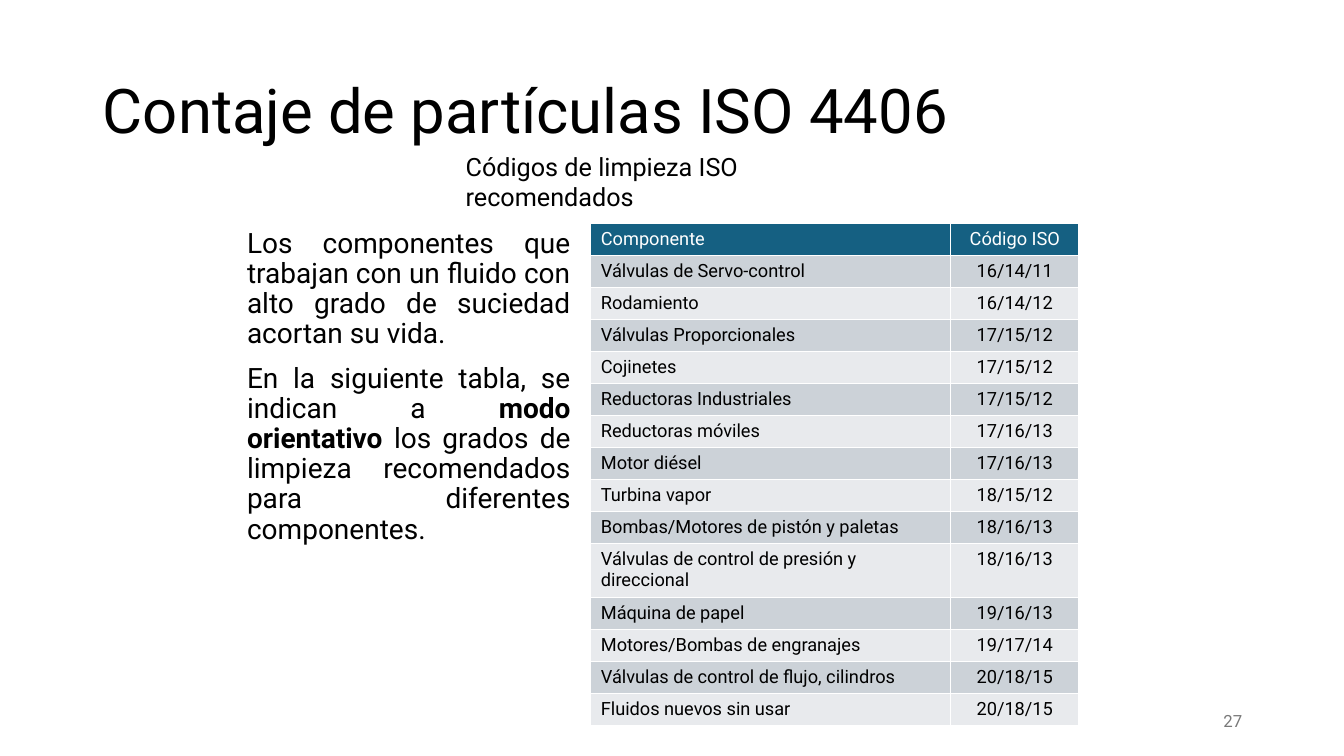
from pptx import Presentation
from pptx.dml.color import RGBColor
from pptx.enum.text import MSO_ANCHOR as ANCHOR, MSO_AUTO_SIZE as AUTO, PP_ALIGN as AL
from pptx.oxml.ns import qn
from pptx.util import Inches, Pt
from lxml import etree


def rgb(hex_color):
    return RGBColor.from_string(hex_color)


def add_run(p, text, size, color="000000", bold=False):
    r = p.add_run()
    r.text = text
    r.font.name = "Roboto"
    r.font.size = Pt(size)
    r.font.bold = bold
    r.font.color.rgb = rgb(color)


prs = Presentation()
prs.slide_width, prs.slide_height = Inches(13.33), Inches(7.5)
s = prs.slides.add_slide(prs.slide_layouts[1])
title, body = s.placeholders

# Place the four text boxes
number = s.shapes.add_textbox(0, 0, 0, 0)
subtitle = s.shapes.add_textbox(0, 0, 0, 0)
boxes = [
    (title, 0.92, 0.4, 11.5, 1.45, ANCHOR.MIDDLE),
    (body, 2.35, 2.22, 3.41, 4.63, ANCHOR.TOP),
    (number, 9.42, 6.95, 3, 0.4, ANCHOR.MIDDLE),
    (subtitle, 4.52, 1.45, 4.31, 0.71, ANCHOR.TOP),
]
for sp, left, top, width, height, anchor in boxes:
    sp.left, sp.top = Inches(left), Inches(top)
    sp.width, sp.height = Inches(width), Inches(height)
    tf = sp.text_frame
    tf.word_wrap = True
    tf.auto_size = AUTO.NONE
    tf.vertical_anchor = anchor

# Title, subtitle and slide number
p = title.text_frame.paragraphs[0]
p.alignment = AL.LEFT
p.line_spacing = 0.9
add_run(p, "Contaje de partículas ISO 4406", 44)

subtitle.text_frame.auto_size = AUTO.SHAPE_TO_FIT_TEXT
add_run(subtitle.text_frame.paragraphs[0], "Códigos de limpieza ISO recomendados", 18)

p = number.text_frame.paragraphs[0]
p.alignment = AL.RIGHT
add_run(p, "27", 12, "797979")

# Justified body text: (text, bold) runs per paragraph
paragraphs = [
    [("Los componentes que trabajan con un fluido con alto grado de suciedad "
      "acortan su vida.", False)],
    [("En la siguiente tabla, se indican a ", False),
     ("modo orientativo ", True),
     ("los grados de limpieza recomendados para diferentes componentes.", False)],
]
tf = body.text_frame
for i, runs in enumerate(paragraphs):
    p = tf.add_paragraph() if i else tf.paragraphs[0]
    pPr = p._p.get_or_add_pPr()
    pPr.set("marL", "0")
    pPr.set("indent", "0")
    etree.SubElement(pPr, qn("a:buNone"))
    p.alignment = AL.JUSTIFY
    p.line_spacing = 0.9
    p.space_before = Pt(10 if i else 0)
    for text, bold in runs:
        add_run(p, text, 20, bold=bold)

# Table of recommended codes
rows = [
    ("Componente", "Código ISO"),
    ("Válvulas de Servo-control", "16/14/11"),
    ("Rodamiento", "16/14/12"),
    ("Válvulas Proporcionales", "17/15/12"),
    ("Cojinetes", "17/15/12"),
    ("Reductoras Industriales", "17/15/12"),
    ("Reductoras móviles", "17/16/13"),
    ("Motor diésel", "17/16/13"),
    ("Turbina vapor", "18/15/12"),
    ("Bombas/Motores de pistón y paletas", "18/16/13"),
    ("Válvulas de control de presión y direccional", "18/16/13"),
    ("Máquina de papel", "19/16/13"),
    ("Motores/Bombas de engranajes", "19/17/14"),
    ("Válvulas de control de flujo, cilindros", "20/18/15"),
    ("Fluidos nuevos sin usar", "20/18/15"),
]
row_height = 0.3
table = s.shapes.add_table(len(rows), 2, Inches(5.86), Inches(2.22), Inches(4.84),
                           Inches(row_height * len(rows))).table
for column, width in zip(table.columns, (3.57, 1.27)):
    column.width = Inches(width)
for i, row in enumerate(rows):
    table.rows[i].height = Inches(row_height)
    band = ("CCD2D8" if i % 2 else "E8EAED") if i else "156082"
    for j, text in enumerate(row):
        cell = table.cell(i, j)
        cell.fill.solid()
        cell.fill.fore_color.rgb = rgb(band)
        p = cell.text_frame.paragraphs[0]
        p.alignment = AL.CENTER if j else AL.LEFT
        add_run(p, text, 13, "000000" if i else "FFFFFF")

prs.save("out.pptx")
